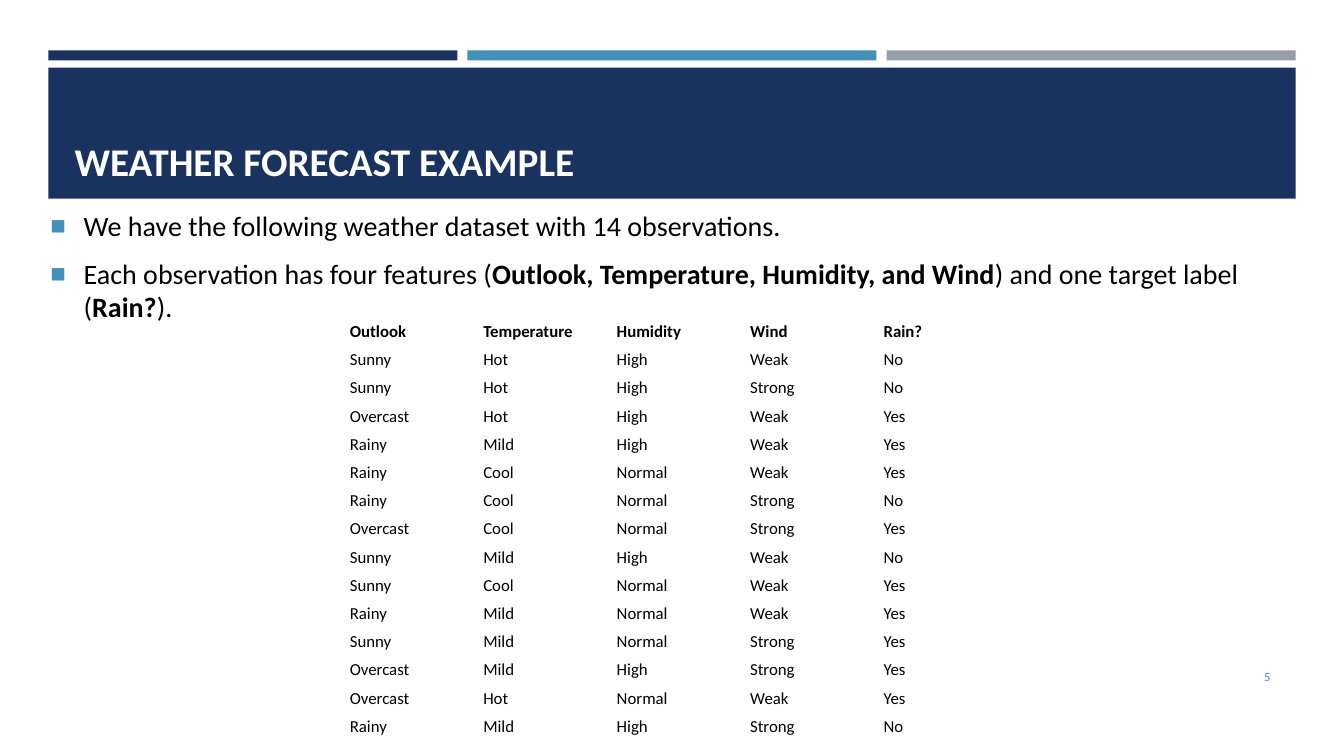
from lxml import etree
from pptx import Presentation
from pptx.dml.color import RGBColor
from pptx.enum.shapes import MSO_SHAPE
from pptx.enum.text import MSO_ANCHOR, MSO_AUTO_SIZE, PP_ALIGN
from pptx.oxml.ns import qn
from pptx.util import Inches, Pt

RECTANGLE = MSO_SHAPE.RECTANGLE
TOP, MIDDLE, BOTTOM = MSO_ANCHOR.TOP, MSO_ANCHOR.MIDDLE, MSO_ANCHOR.BOTTOM
LEFT, RIGHT = PP_ALIGN.LEFT, PP_ALIGN.RIGHT
NO_AUTOFIT = MSO_AUTO_SIZE.NONE

FONT = "Calibri"
NAVY, BLUE, GRAY = "1A3260", "4590B8", "969FA7"
BLACK, WHITE = "000000", "FFFFFF"

# Each bullet is a list of (text, bold) runs.
BULLETS = [
    [("We have the following weather dataset with 14 observations.", False)],
    [
        ("Each observation has four features (", False),
        ("Outlook, Temperature, Humidity, and Wind", True),
        (") and one target label (", False),
        ("Rain?", True),
        (").", False),
    ],
]

WEATHER = [
    ("Outlook", "Temperature", "Humidity", "Wind", "Rain?"),
    ("Sunny", "Hot", "High", "Weak", "No"),
    ("Sunny", "Hot", "High", "Strong", "No"),
    ("Overcast", "Hot", "High", "Weak", "Yes"),
    ("Rainy", "Mild", "High", "Weak", "Yes"),
    ("Rainy", "Cool", "Normal", "Weak", "Yes"),
    ("Rainy", "Cool", "Normal", "Strong", "No"),
    ("Overcast", "Cool", "Normal", "Strong", "Yes"),
    ("Sunny", "Mild", "High", "Weak", "No"),
    ("Sunny", "Cool", "Normal", "Weak", "Yes"),
    ("Rainy", "Mild", "Normal", "Weak", "Yes"),
    ("Sunny", "Mild", "Normal", "Strong", "Yes"),
    ("Overcast", "Mild", "High", "Strong", "Yes"),
    ("Overcast", "Hot", "Normal", "Weak", "Yes"),
    ("Rainy", "Mild", "High", "Strong", "No"),
]


def color(hex_string):
    return RGBColor.from_string(hex_string)


def format_run(run, size, hex_string, bold=False):
    run.font.name = FONT
    run.font.size = Pt(size)
    run.font.bold = bold
    run.font.color.rgb = color(hex_string)


def place(shape, left, top, width, height):
    shape.left, shape.top = Inches(left), Inches(top)
    shape.width, shape.height = Inches(width), Inches(height)


def prepare_text_frame(shape, anchor):
    text_frame = shape.text_frame
    text_frame.word_wrap = True
    text_frame.auto_size = NO_AUTOFIT
    text_frame.vertical_anchor = anchor
    return text_frame


def add_bar(slide, left, top, width, height, hex_string):
    bar = slide.shapes.add_shape(
        RECTANGLE, Inches(left), Inches(top), Inches(width), Inches(height)
    )
    bar.shadow.inherit = False
    bar.fill.solid()
    bar.fill.fore_color.rgb = color(hex_string)
    bar.line.fill.background()


def add_header(slide, left, top, width, height):
    """Three coloured strips above a navy title band."""
    gap, strip_height, band_offset = 0.1, 0.1, 0.17
    strip_width = (width - 2 * gap) / 3
    for index, hex_string in enumerate((NAVY, BLUE, GRAY)):
        strip_left = left + index * (strip_width + gap)
        add_bar(slide, strip_left, top, strip_width, strip_height, hex_string)
    add_bar(slide, left, top + band_offset, width, height - band_offset, NAVY)


def fill_title(slide, left, top, width, height):
    title = slide.shapes.title
    slide.shapes.element.append(title.element)  # in front of the band
    place(title, left, top, width, height)
    text_frame = prepare_text_frame(title, BOTTOM)
    text_frame.text = "WEATHER FORECAST EXAMPLE"
    paragraph = text_frame.paragraphs[0]
    paragraph.alignment = LEFT
    format_run(paragraph.runs[0], 28, WHITE, bold=True)


def add_square_bullet(paragraph):
    properties = paragraph._p.get_or_add_pPr()
    properties.set("marL", str(Inches(0.33)))
    properties.set("indent", str(-Inches(0.33)))
    bullet_color = etree.SubElement(properties, qn("a:buClr"))
    etree.SubElement(bullet_color, qn("a:srgbClr"), val=BLUE)
    etree.SubElement(properties, qn("a:buSzPct"), val="92000")
    etree.SubElement(properties, qn("a:buFont"), typeface="Arial")
    etree.SubElement(properties, qn("a:buChar"), char="■")


def fill_bullets(slide, left, top, width, height):
    body = slide.placeholders[1]
    place(body, left, top, width, height)
    text_frame = prepare_text_frame(body, TOP)
    for index, runs in enumerate(BULLETS):
        paragraph = text_frame.add_paragraph() if index else text_frame.paragraphs[0]
        paragraph.space_before = Pt(4)
        paragraph.space_after = Pt(6)
        add_square_bullet(paragraph)
        for text, bold in runs:
            run = paragraph.add_run()
            run.text = text
            format_run(run, 20, BLACK, bold)


def add_slide_number(slide, left, top, width, height):
    number = slide.shapes.add_textbox(
        Inches(left), Inches(top), Inches(width), Inches(height)
    )
    text_frame = prepare_text_frame(number, MIDDLE)
    text_frame.text = "5"
    paragraph = text_frame.paragraphs[0]
    paragraph.alignment = RIGHT
    format_run(paragraph.runs[0], 9, BLUE)


def fill_cell(cell, text, bold):
    cell.fill.background()
    cell.vertical_anchor = MIDDLE
    cell.margin_left = cell.margin_right = Inches(0.06)
    cell.margin_top = cell.margin_bottom = Inches(0.03)
    cell.text_frame.text = text
    format_run(cell.text_frame.paragraphs[0].runs[0], 12, BLACK, bold)


def add_weather_table(slide, left, top, width, height):
    table = slide.shapes.add_table(
        len(WEATHER), len(WEATHER[0]),
        Inches(left), Inches(top), Inches(width), Inches(height),
    ).table
    table.first_row = True
    table.horz_banding = False
    for row_index, values in enumerate(WEATHER):
        for column_index, value in enumerate(values):
            fill_cell(table.cell(row_index, column_index), value, row_index == 0)


def main():
    presentation = Presentation()
    presentation.slide_width = Inches(13.33)
    presentation.slide_height = Inches(7.5)
    slide = presentation.slides.add_slide(presentation.slide_layouts[1])
    add_header(slide, 0.48, 0.5, 12.37, 1.47)
    fill_title(slide, 0.64, 0.77, 12.06, 1.11)
    fill_bullets(slide, 0.4, 2.02, 12.3, 1.73)
    add_slide_number(slide, 11.55, 6.51, 1.15, 0.4)
    add_weather_table(slide, 3.41, 3.15, 6.62, 4.2)
    presentation.save("out.pptx")


if __name__ == "__main__":
    main()
